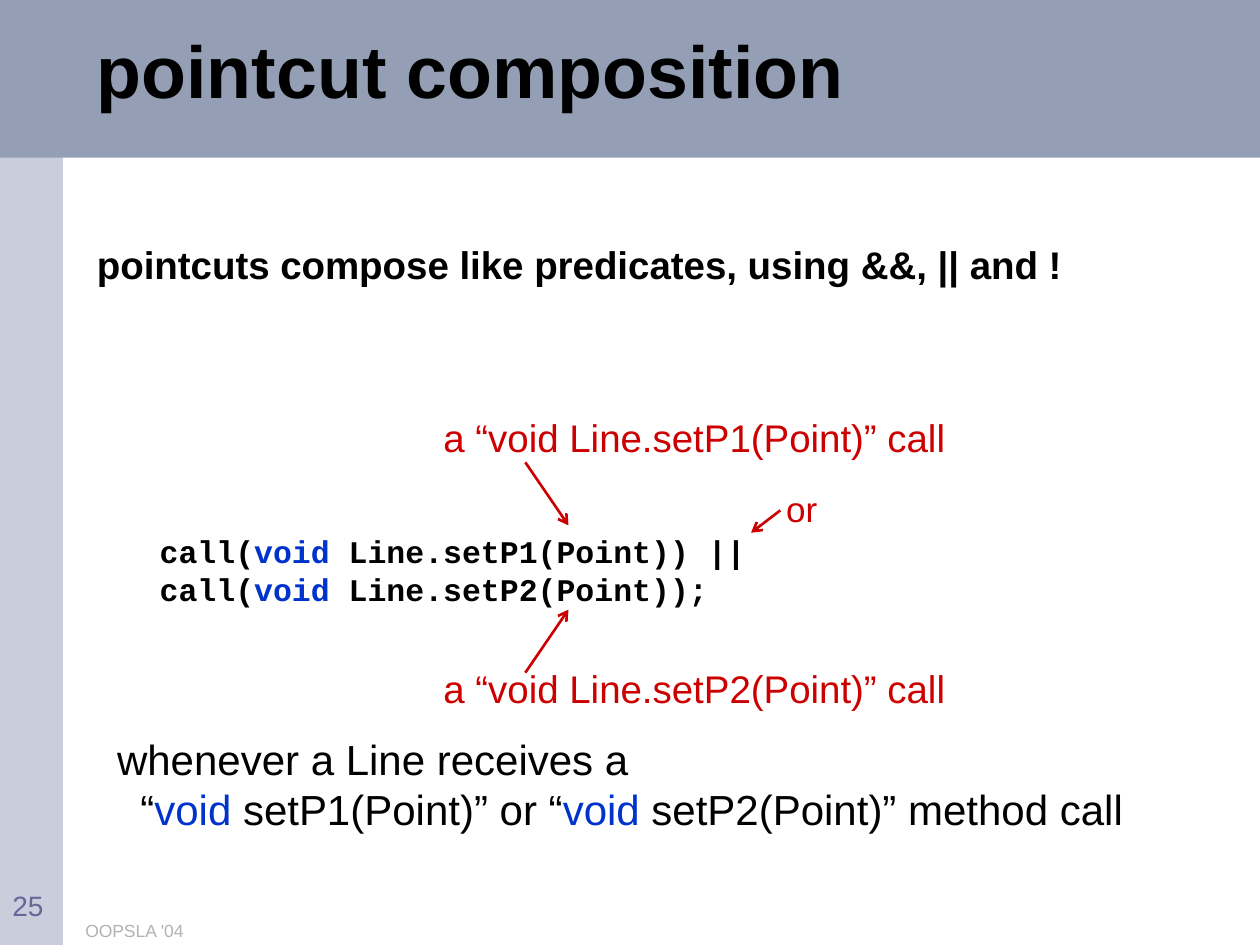
from dataclasses import dataclass
from typing import NamedTuple

from pptx import Presentation
from pptx.dml.color import RGBColor
from pptx.enum.shapes import MSO_CONNECTOR as Connector, MSO_SHAPE as Shape
from pptx.enum.text import MSO_ANCHOR as Anchor, MSO_AUTO_SIZE as AutoSize, PP_ALIGN as Align
from pptx.oxml.ns import qn
from pptx.util import Cm, Pt
from lxml.etree import SubElement


@dataclass(frozen=True)
class Theme:
    sans: str = "Arial"
    mono: str = "Courier New"
    header: str = "949FB6"
    sidebar: str = "C8CEDC"
    text: str = "000000"
    keyword: str = "0033CC"
    note: str = "CC0000"
    number: str = "666699"
    footer: str = "B2B2B2"
    title_size: float = 42
    body_size: float = 22
    code_size: float = 18
    code_pitch: float = 21.7
    meaning_size: float = 24
    or_size: float = 20
    number_size: float = 16
    footer_size: float = 10
    arrow_width: float = 1.5


class Box(NamedTuple):
    """Left, top, width and height in centimetres."""
    left: float
    top: float
    width: float
    height: float


THEME = Theme()
KEYWORD = "void"


def place(shape, box):
    shape.left, shape.top, shape.width, shape.height = map(Cm, box)


def style(run, size, color=THEME.text, bold=False, name=THEME.sans):
    run.font.name = name
    run.font.size = Pt(size)
    run.font.bold = bold
    run.font.color.rgb = RGBColor.from_string(color)


def add_text(slide, box, text, size, color=THEME.text, wrap=True):
    frame = slide.shapes.add_textbox(*map(Cm, box)).text_frame
    frame.word_wrap = wrap
    frame.text = text
    style(frame.paragraphs[0].runs[0], size, color)


def add_highlighted(paragraph, text, size, **font):
    """Write text with every keyword in the keyword colour."""
    for index, part in enumerate(text.split(KEYWORD)):
        pieces = [(KEYWORD, THEME.keyword)] if index else []
        for piece, color in pieces + [(part, THEME.text)]:
            run = paragraph.add_run()
            run.text = piece
            style(run, size, color, **font)


def add_highlighted_lines(slide, box, lines, size, **font):
    frame = slide.shapes.add_textbox(*map(Cm, box)).text_frame
    frame.word_wrap = True
    for index, line in enumerate(lines):
        paragraph = frame.add_paragraph() if index else frame.paragraphs[0]
        add_highlighted(paragraph, line, size, **font)
    return frame.paragraphs


def add_bands(slide, side_box, header_box):
    """Put the coloured bands behind everything else."""
    tree = slide.shapes._spTree
    bands = ((side_box, THEME.sidebar), (header_box, THEME.header))
    for position, (box, color) in enumerate(bands, start=2):
        band = slide.shapes.add_shape(Shape.RECTANGLE, *map(Cm, box))
        band.shadow.inherit = False
        band.fill.solid()
        band.fill.fore_color.rgb = RGBColor.from_string(color)
        band.line.fill.background()
        tree.insert(position, band._element)


def fill_placeholder(shape, box, text, size, anchor):
    place(shape, box)
    frame = shape.text_frame
    frame.text = text
    frame.auto_size = AutoSize.NONE
    frame.vertical_anchor = anchor
    paragraph = frame.paragraphs[0]
    paragraph.alignment = Align.LEFT
    paragraph.line_spacing = 0.85
    paragraph.space_before = Pt(0)
    style(paragraph.runs[0], size, bold=True)
    return paragraph


def add_statement(shape, box, text):
    paragraph = fill_placeholder(shape, box, text, THEME.body_size, Anchor.TOP)
    properties = paragraph._p.get_or_add_pPr()
    properties.set("marL", str(Cm(0.95)))
    properties.set("indent", str(-Cm(0.95)))
    bullet_none = properties.makeelement(qn("a:buNone"))
    properties.append(bullet_none)


def add_callout(slide, box, text, size, start, end):
    """Add a label and an arrow, whose ends are offsets from the label's corner."""
    add_text(slide, box, text, size, THEME.note, wrap=False)
    ends = [Cm(corner + offset) for point in (start, end)
            for corner, offset in zip(box[:2], point)]
    arrow = slide.shapes.add_connector(Connector.STRAIGHT, *ends)
    arrow.line.color.rgb = RGBColor.from_string(THEME.note)
    arrow.line.width = Pt(THEME.arrow_width)
    SubElement(arrow.line._get_or_add_ln(), qn("a:tailEnd"), type="arrow")
    SubElement(arrow._element.spPr, qn("a:effectLst"))


def add_code(slide, box):
    """Add the two code lines with the notes above, beside and below them."""
    lines = ("call(void Line.setP1(Point)) ||", "call(void Line.setP2(Point));")
    for paragraph in add_highlighted_lines(slide, box, lines, THEME.code_size,
                                           bold=True, name=THEME.mono):
        paragraph.line_spacing = Pt(THEME.code_pitch)

    calls = (("P1", -2.36, 1.09, 2.36), ("P2", 2.69, 0.28, -0.99))
    for name, rise, start, end in calls:
        label = Box(box.left + 5.72, box.top + rise, 10.62, 1.19)
        add_callout(slide, label, f"a “void Line.set{name}(Point)” call",
                    THEME.body_size, (1.9, start), (2.77, end))
    label = Box(box.left + 12.63, box.top - 0.89, 1.14, 1.12)
    add_callout(slide, label, "or", THEME.or_size, (0.13, 0.59), (-0.46, 1.04))


def add_meaning(slide, box):
    lines = ("whenever a Line receives a",
             "“void setP1(Point)” or “void setP2(Point)” method call")
    paragraphs = add_highlighted_lines(slide, box, lines, THEME.meaning_size)
    paragraphs[1]._p.get_or_add_pPr().set("marL", str(Cm(0.47)))


def add_footer(slide, number_box, footer_box):
    add_text(slide, footer_box, "OOPSLA '04", THEME.footer_size, THEME.footer)
    add_text(slide, number_box, "25", THEME.number_size, THEME.number)


def main():
    presentation = Presentation()
    presentation.slide_width, presentation.slide_height = Cm(25.4), Cm(19.05)
    slide = presentation.slides.add_slide(presentation.slide_layouts[1])
    title, body = slide.placeholders

    add_bands(slide, Box(0, 0, 1.27, 19.05), Box(0, 0, 25.4, 3.18))
    fill_placeholder(title, Box(1.7, 0.2, 21.16, 2.67), "pointcut composition",
                     THEME.title_size, Anchor.MIDDLE)
    add_statement(body, Box(1.7, 4.88, 21.59, 5.28),
                  "pointcuts compose like predicates, using &&, || and !")
    add_code(slide, Box(2.97, 10.59, 13, 1.8))
    add_meaning(slide, Box(2.11, 14.66, 21.79, 2.29))
    add_footer(slide, Box(0, 17.78, 1.7, 0.64), Box(1.47, 18.42, 14.17, 0.64))
    presentation.save("out.pptx")


if __name__ == "__main__":
    main()
